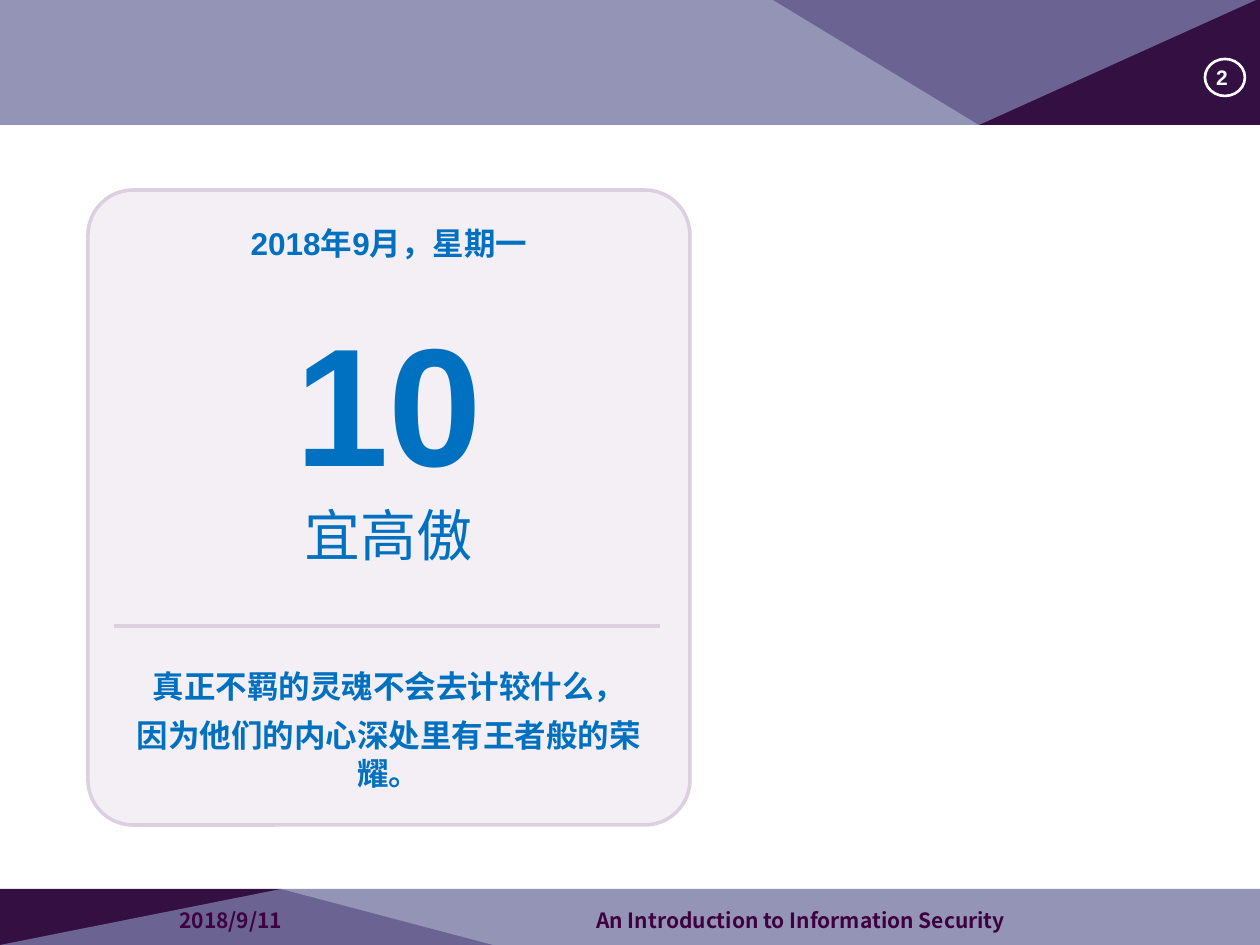
from dataclasses import dataclass

from lxml.etree import SubElement
from pptx import Presentation
from pptx.dml.color import RGBColor as RGB
from pptx.enum.shapes import MSO_CONNECTOR as LINK, MSO_SHAPE as SHAPE
from pptx.enum.text import MSO_ANCHOR as ANCHOR, PP_ALIGN as ALIGN
from pptx.oxml.ns import qn
from pptx.util import Pt

SCALE = 914400 / 126  # EMU in one px


def emu(*sizes):
    return [round(size * SCALE) for size in sizes]


@dataclass(frozen=True)
class Theme:
    dark: str = "330F42"
    veil: str = "7A7AA6"
    foot: str = "3E003E"
    card: str = "F3EFF5"
    edge: str = "DBCFE0"
    ink: str = "0070C0"
    white: str = "FFFFFF"
    latin: str = "Arial"
    asian: str = "Noto Sans CJK SC"
    small: int = 12
    body: int = 18
    mood: int = 32
    day: int = 96


class Page:
    def __init__(self, deck, theme):
        self.theme = theme
        self.slide = deck.slides.add_slide(deck.slide_layouts[6])
        self.shapes = self.slide.shapes

    def style(self, para, size, color, font, bold=True):
        for run in para.runs:
            face = run.font
            face.name, face.size, face.bold = font, Pt(size), bold
            face.color.rgb = RGB.from_string(color)
            SubElement(face._element, qn("a:ea"), typeface=self.theme.asian)

    def paint(self, shape, fill=None, line=None, width=0):
        shape.shadow.inherit = False
        if fill:
            shape.fill.solid()
            shape.fill.fore_color.rgb = RGB.from_string(fill)
        else:
            shape.fill.background()
        if line:
            shape.line.color.rgb = RGB.from_string(line)
            shape.line.width = Pt(width)
        else:
            shape.line.fill.background()

    def facet(self, points, fill, alpha=100):
        start, *rest = points
        pen = self.shapes.build_freeform(*start, scale=SCALE)
        pen.add_line_segments(rest, close=True)
        shape = pen.convert_to_shape()
        self.paint(shape, fill)
        if alpha < 100:
            color = shape._element.spPr.find(qn("a:solidFill"))[0]
            SubElement(color, qn("a:alpha"), val=str(alpha * 1000))

    def badge(self, box, text):
        shape = self.shapes.add_shape(SHAPE.OVAL, *emu(*box))
        self.paint(shape, line=self.theme.white, width=1.5)
        frame = shape.text_frame
        frame.margin_left, frame.margin_top, frame.margin_right, frame.margin_bottom = emu(1, 1, 1, 1)
        frame.vertical_anchor = ANCHOR.MIDDLE
        frame.text = text
        frame.paragraphs[0].alignment = ALIGN.CENTER
        self.style(frame.paragraphs[0], self.theme.small, self.theme.white, self.theme.latin)

    def label(self, box, text):
        frame = self.shapes.add_textbox(*emu(*box)).text_frame
        frame.word_wrap = True
        frame.vertical_anchor = ANCHOR.MIDDLE
        frame.text = text
        self.style(frame.paragraphs[0], self.theme.small, self.theme.foot, self.theme.asian)

    def card(self, box, rows):
        shape = self.shapes.add_shape(SHAPE.ROUNDED_RECTANGLE, *emu(*box))
        shape.adjustments[0] = 0.075
        self.paint(shape, self.theme.card, self.theme.edge, 2)
        frame = shape.text_frame
        frame.word_wrap = True
        frame.margin_left, frame.margin_right = emu(24, 24)
        frame.vertical_anchor = ANCHOR.MIDDLE
        frame.text = "\n".join(row[0] for row in rows)
        for para, (_, size, bold, pitch, gap) in zip(frame.paragraphs, rows):
            para.alignment = ALIGN.CENTER
            para.line_spacing = Pt(pitch)
            para.space_before = Pt(gap)
            self.style(para, size, self.theme.ink, self.theme.latin, bold)

    def rule(self, left, right, y):
        line = self.shapes.add_connector(LINK.STRAIGHT, *emu(left, y, right, y))
        line.line.color.rgb = RGB.from_string(self.theme.edge)
        line.line.width = Pt(1.75)
        SubElement(line._element.spPr, qn("a:effectLst"))


def main():
    deck = Presentation()
    deck.slide_width, deck.slide_height = emu(1260, 945)
    theme = Theme()
    page = Page(deck, theme)

    # Bottom band
    page.facet([(0, 945), (0, 889), (281, 889), (493, 945)], theme.dark)
    page.facet([(0, 945), (281, 889), (1260, 889), (1260, 945)], theme.veil, 80)

    # Top band
    page.facet([(773, 0), (1260, 0), (1260, 125), (979, 125)], theme.dark)
    page.facet([(0, 0), (1256, 0), (979, 125), (0, 125)], theme.veil, 80)

    # Page number and footer
    page.badge((1205, 59, 40, 37), "2 ")
    page.label((167, 902, 294, 37), "2018/9/11")
    page.label((584, 902, 602, 37), "An Introduction to Information Security")

    # Calendar card: text, size, bold, line pitch, space before
    page.card((88, 190, 602, 635), [
        ("2018年9月，星期一", theme.body, True, 22, 0),
        ("10", theme.day, True, 110, 26),
        ("宜高傲", theme.mood, False, 38, 1),
        ("真正不羁的灵魂不会去计较什么，", theme.body, True, 22, 56),
        ("因为他们的内心深处里有王者般的荣耀。", theme.body, True, 22, 6),
    ])
    page.rule(114, 660, 626)

    deck.save("out.pptx")


if __name__ == "__main__":
    main()
